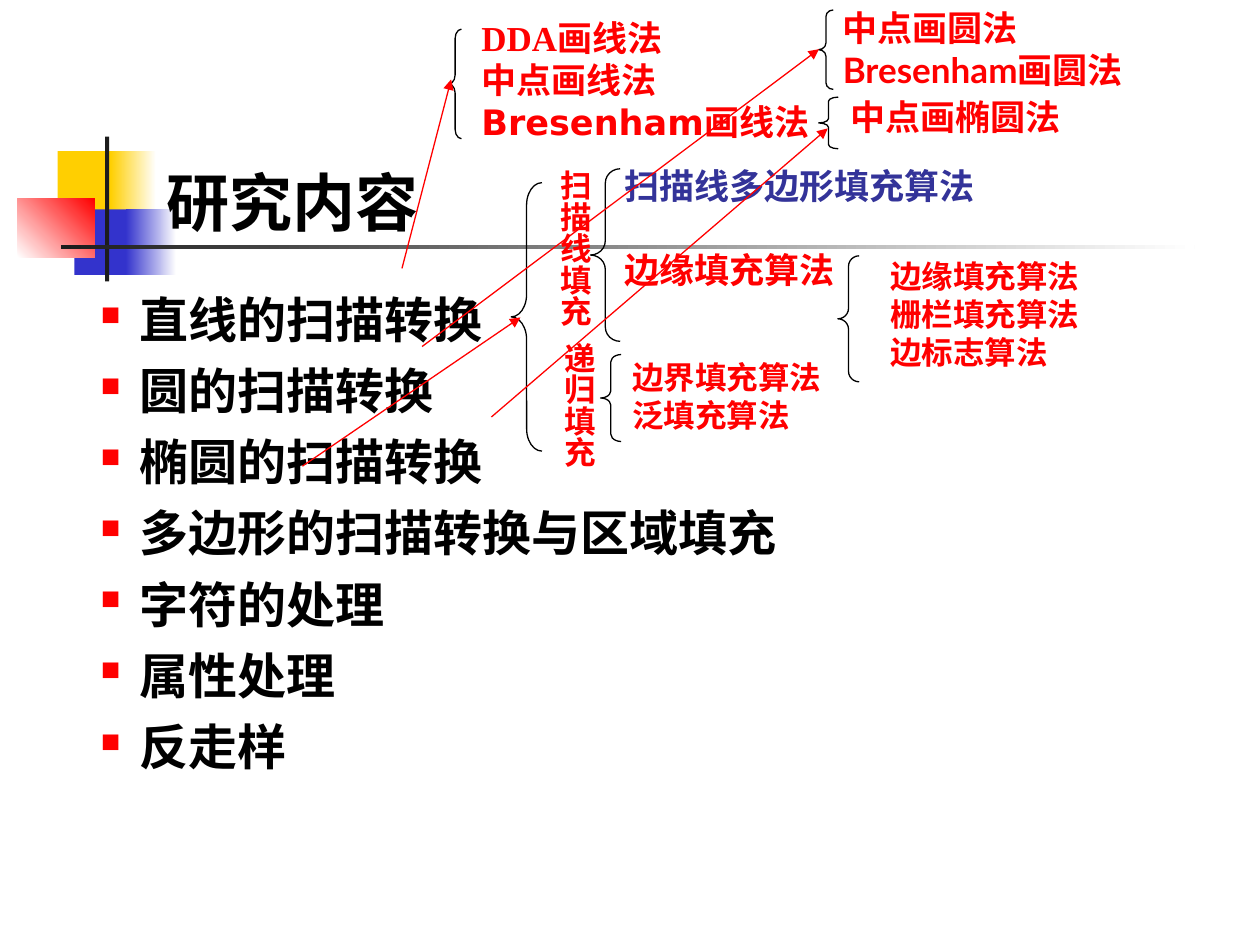
from dataclasses import dataclass

from lxml import etree
from pptx import Presentation
from pptx.dml.color import RGBColor
from pptx.enum.shapes import MSO_CONNECTOR, MSO_SHAPE
from pptx.enum.text import MSO_ANCHOR, PP_ALIGN
from pptx.oxml.ns import qn
from pptx.util import Pt


@dataclass(frozen=True)
class Theme:
    black: str = "000000"
    white: str = "FFFFFF"
    dark: str = "1C1C1C"
    red: str = "FF0000"
    yellow: str = "FFCF01"
    blue: str = "3333CC"
    navy: str = "333399"
    font: str = "Lato"
    serif: str = "Times New Roman"
    sans: str = "DejaVu Sans"
    title_size: float = 36
    body_size: float = 28
    note_size: float = 20
    detail_size: float = 18
    line_width: float = 0.75


THEME = Theme()


def color(value):
    return RGBColor.from_string(value)


def points(box):
    return [Pt(value) for value in box]


def format_run(run, size, text_color, font=THEME.font):
    run.font.size = Pt(size)
    run.font.bold = True
    run.font.name = font
    run.font.color.rgb = color(text_color)
    east_asian = etree.SubElement(run._r.get_or_add_rPr(), qn("a:ea"))
    east_asian.set("typeface", font)


def add_text(slide, box, lines, size, text_color=THEME.red, font=THEME.font, wrap=True):
    """Place one paragraph for each line and return the text frame."""
    text_frame = slide.shapes.add_textbox(*points(box)).text_frame
    text_frame.word_wrap = wrap
    text_frame.text = "\n".join(lines)
    for paragraph in text_frame.paragraphs:
        paragraph.alignment = PP_ALIGN.LEFT
        for run in paragraph.runs:
            format_run(run, size, text_color, font)
    return text_frame


def add_block(slide, box, start, end=None, angle=0):
    """Place a rectangle with a plain fill, or a gradient when an end colour is given."""
    shape = slide.shapes.add_shape(MSO_SHAPE.RECTANGLE, *points(box))
    shape.shadow.inherit = False
    shape.line.fill.background()
    if end is None:
        shape.fill.solid()
        shape.fill.fore_color.rgb = color(start)
        return
    shape.fill.gradient()
    shape.fill.gradient_angle = angle
    for stop, value in zip(shape.fill.gradient_stops, (start, end)):
        stop.color.rgb = color(value)


def add_brace(slide, box):
    width, height = box[2:]
    brace = slide.shapes.add_shape(MSO_SHAPE.LEFT_BRACE, *points(box))
    brace.shadow.inherit = False
    brace.fill.background()
    brace.line.color.rgb = color(THEME.black)
    brace.line.width = Pt(THEME.line_width)
    brace.adjustments[0] = height / 12 / min(width, height)


def add_arrow(slide, start, end):
    arrow = slide.shapes.add_connector(MSO_CONNECTOR.STRAIGHT, *points(start + end))
    arrow.line.color.rgb = color(THEME.red)
    arrow.line.width = Pt(THEME.line_width)
    etree.SubElement(arrow.line._get_or_add_ln(), qn("a:tailEnd")).set("type", "triangle")
    etree.SubElement(arrow._element.spPr, qn("a:effectLst"))


def add_decoration(slide, left, top):
    blocks = [
        ((23, 8.4, 34.6, 37.4), THEME.yellow, None, 0),
        ((53.2, 8.4, 26, 37.4), THEME.yellow, THEME.white, 0),
        ((32.5, 41.7, 33, 37.4), THEME.blue, None, 0),
        ((62, 41.7, 28.8, 37.4), THEME.blue, THEME.white, 0),
        ((0, 35.7, 44.2, 33.4), THEME.white, THEME.red, 45),
        ((50, 0, 2.4, 82.8), THEME.dark, None, 0),
        ((24.7, 62, 648, 2.5), THEME.dark, THEME.white, 0),
    ]
    for (x, y, width, height), start, end, angle in blocks:
        add_block(slide, (left + x, top + y, width, height), start, end, angle)


def add_title(slide, box):
    text_frame = add_text(slide, box, ["研究内容"], THEME.title_size, THEME.black)
    text_frame.vertical_anchor = MSO_ANCHOR.BOTTOM


def add_topics(slide, box):
    topics = ["直线的扫描转换", "圆的扫描转换", "椭圆的扫描转换", "多边形的扫描转换与区域填充",
              "字符的处理", "属性处理", "反走样"]
    text_frame = add_text(slide, box, topics, THEME.body_size, THEME.black)
    for index, paragraph in enumerate(text_frame.paragraphs):
        if index:
            paragraph.space_before = Pt(7)
        properties = paragraph._p.get_or_add_pPr()
        properties.set("marL", str(Pt(58.5)))
        properties.set("indent", str(Pt(-22.5)))
        bullet_color = etree.SubElement(properties, qn("a:buClr"))
        etree.SubElement(bullet_color, qn("a:srgbClr")).set("val", THEME.red)
        etree.SubElement(properties, qn("a:buSzPct")).set("val", "55000")
        etree.SubElement(properties, qn("a:buChar")).set("char", "■")


def add_line_methods(slide, left, top):
    lines = ["画线法", "中点画线法", "Bresenham画线法"]
    text_frame = add_text(slide, (left + 11.5, top, 262.8, 79.2), lines,
                          THEME.note_size, font=THEME.sans)
    # The first line opens with a serif abbreviation
    first = text_frame.paragraphs[0]
    first.runs[0].text = "DDA"
    format_run(first.runs[0], THEME.note_size, THEME.red, THEME.serif)
    ending = first.add_run()
    ending.text = lines[0]
    format_run(ending, THEME.note_size, THEME.red, THEME.sans)
    add_brace(slide, (left, top + 10.9, 7.2, 62.6))


def add_curve_methods(slide, left, top):
    add_brace(slide, (left, top + 5.7, 8.4, 45.4))
    add_text(slide, (left + 6.7, top, 245.5, 55.4), ["中点画圆法", "Bresenham画圆法"],
             THEME.note_size)
    add_brace(slide, (left, top + 55.5, 11.2, 29.5))
    add_text(slide, (left + 11, top + 51, 169.2, 31.7), ["中点画椭圆法"], THEME.note_size)


def add_fill_methods(slide, left, top):
    # Outer brace and the two upright group names
    add_brace(slide, (left, top + 14.4, 17.6, 153.4))
    for name, x, y, height in [("扫描线填充", 15.3, 0, 97.2), ("递归填充", 17.5, 98.6, 79.2)]:
        text_frame = add_text(slide, (left + x, top + y, 36, height), [name],
                              THEME.detail_size, wrap=False)
        text_frame.margin_left = text_frame.margin_right = Pt(3.6)
        text_frame.margin_top = text_frame.margin_bottom = Pt(7.2)
        text_frame._txBody.bodyPr.set("vert", "eaVert")

    # Scan line filling
    add_brace(slide, (left + 45.3, top + 6.5, 17, 98.6))
    text_frame = add_text(slide, (left + 57.6, top + 0.7, 339, 79.2),
                          ["扫描线多边形填充算法", "边缘填充算法"], THEME.note_size)
    polygon, edge = text_frame.paragraphs
    polygon.runs[0].font.color.rgb = color(THEME.navy)
    edge.space_before = Pt(24)

    # Edge filling and recursive filling
    details = [
        ((186.7, 56.2, 12.2, 72), (209.6, 53.3, 122.4, 72),
         ["边缘填充算法", "栅栏填充算法", "边标志算法"]),
        ((51.1, 112.6, 11.8, 49.7), (62.1, 110.9, 122.4, 50.4),
         ["边界填充算法", "泛填充算法"]),
    ]
    for brace_box, text_box, lines in details:
        for place, box in ((add_brace, brace_box), (add_text, text_box)):
            x, y, width, height = box
            moved = (left + x, top + y, width, height)
            if place is add_brace:
                add_brace(slide, moved)
            else:
                add_text(slide, moved, lines, THEME.detail_size, wrap=False)


def main():
    presentation = Presentation()
    presentation.slide_width, presentation.slide_height = Pt(720), Pt(540)
    slide = presentation.slides.add_slide(presentation.slide_layouts[6])

    add_decoration(slide, 10, 78)
    add_title(slide, (88, 94.3, 175.7, 46))
    add_topics(slide, (14.4, 162, 516.2, 317.5))
    add_line_methods(slide, 256.5, 5.8)
    add_curve_methods(slide, 467.8, 0)
    add_fill_methods(slide, 292.1, 90)

    # Arrows from the topics to their methods
    for start, end in [((229.7, 153.4), (257.8, 45.4)), ((241.2, 198), (468, 28.1)),
                       ((280.8, 238.3), (473, 73.4)), ((172.8, 266.4), (297.4, 181.4))]:
        add_arrow(slide, start, end)

    presentation.save("out.pptx")


if __name__ == "__main__":
    main()
